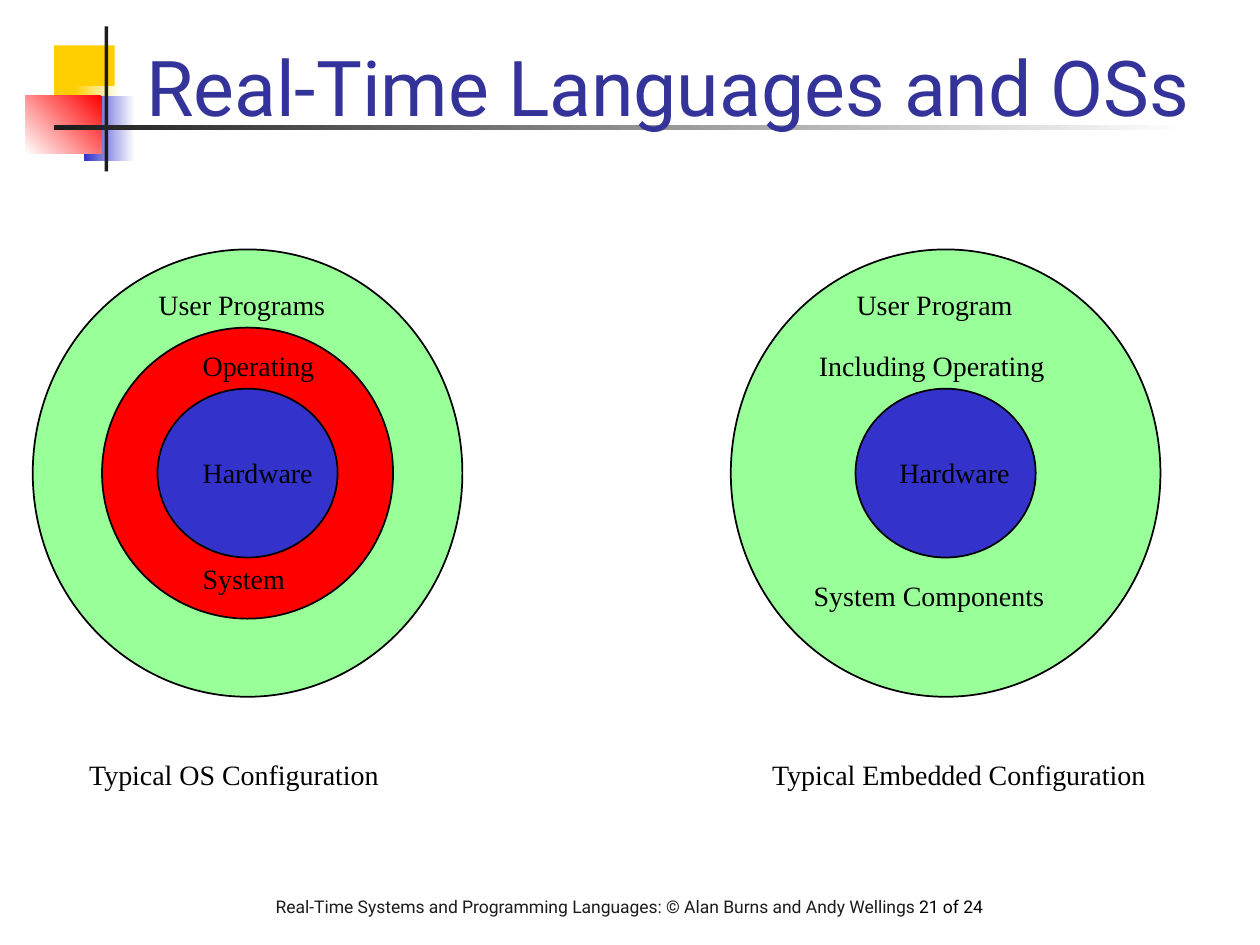
from dataclasses import dataclass

from pptx import Presentation
from pptx.dml.color import RGBColor
from pptx.enum.shapes import MSO_SHAPE
from pptx.enum.text import MSO_ANCHOR, MSO_AUTO_SIZE, PP_ALIGN
from pptx.util import Inches, Pt

RECT, OVAL = MSO_SHAPE.RECTANGLE, MSO_SHAPE.OVAL
LEFT, BOTTOM = PP_ALIGN.LEFT, MSO_ANCHOR.BOTTOM
FIXED, GROW = MSO_AUTO_SIZE.NONE, MSO_AUTO_SIZE.SHAPE_TO_FIT_TEXT

WHITE = RGBColor(0xFF, 0xFF, 0xFF)
BLACK = RGBColor(0x00, 0x00, 0x00)
DARK = RGBColor(0x1C, 0x1C, 0x1C)
NAVY = RGBColor(0x33, 0x33, 0x99)
BLUE = RGBColor(0x33, 0x33, 0xCC)
RED = RGBColor(0xFF, 0x00, 0x00)
GREEN = RGBColor(0x99, 0xFF, 0x99)
GOLD = RGBColor(0xFF, 0xCF, 0x01)

SANS, SERIF = "Roboto", "Times New Roman"
WIDE, HIGH = Inches(10), Inches(7.5)
COLS, ROWS = 100, 75
MID_ROW = 37.55
LABEL_ROWS = 3.7
SLACK = 0.4


@dataclass(frozen=True)
class Box:
    col: float
    row: float
    cols: float
    rows: float

    def frame(self) -> tuple[int, int, int, int]:
        return (
            round(self.col * WIDE / COLS),
            round(self.row * HIGH / ROWS),
            round(self.cols * WIDE / COLS),
            round(self.rows * HIGH / ROWS),
        )


@dataclass(frozen=True)
class Block:
    box: Box
    start: RGBColor
    end: RGBColor | None = None
    angle: float = 180


@dataclass(frozen=True)
class Ring:
    cols: float
    rows: float
    fill: RGBColor


@dataclass(frozen=True)
class Label:
    text: str
    col: float
    row: float
    cols: float


@dataclass(frozen=True)
class Model:
    mid: float
    rings: tuple[Ring, ...]
    labels: tuple[Label, ...]


BLOCKS = (
    Block(Box(4.3, 3.6, 4.8, 5.2), GOLD),
    Block(Box(5.9, 6.8, 3.6, 5.2), WHITE, GOLD),
    Block(Box(6.7, 7.6, 4, 5.2), WHITE, BLUE),
    Block(Box(2, 7.6, 6.1, 4.6), RED, WHITE, 225),
    Block(Box(8.3, 2.1, 0.3, 11.5), DARK),
    Block(Box(4.3, 9.9, 90, 0.4), WHITE, DARK),
)

USER = Ring(34.1, 35.5, GREEN)
SYSTEM = Ring(23.1, 23.1, RED)
CORE = Ring(14.3, 13.4, BLUE)

MODELS = (
    Model(19.65, (USER, SYSTEM, CORE), (
        Label("Hardware", 15.1, 35.7, 10.7),
        Label("Operating", 15.1, 27.2, 10.8),
        Label("System", 15.1, 44.1, 8.5),
        Label("User Programs", 11.6, 22.3, 15.2),
    )),
    Model(75.05, (USER, CORE), (
        Label("Hardware", 70.4, 35.7, 10.7),
        Label("Including Operating", 64, 27.2, 19.9),
        Label("System Components", 63.6, 45.4, 20.3),
        Label("User Program", 67, 22.3, 14.4),
    )),
)

NOTES = (
    Label("Typical OS Configuration", 6.1, 59.6, 25.1),
    Label("Typical Embedded Configuration", 60.3, 59.6, 31.8),
)


def style(run, face: str, size: float, color: RGBColor) -> None:
    run.font.name = face
    run.font.size = Pt(size)
    run.font.color.rgb = color


def draw_block(shapes, block: Block) -> None:
    shape = shapes.add_shape(RECT, *block.box.frame())
    shape.shadow.inherit = False
    shape.line.fill.background()
    if block.end is None:
        shape.fill.solid()
        shape.fill.fore_color.rgb = block.start
        return
    shape.fill.gradient()
    shape.fill.gradient_angle = block.angle
    for stop, color in zip(shape.fill.gradient_stops, (block.start, block.end)):
        stop.color.rgb = color


def draw_ring(shapes, ring: Ring, mid: float) -> None:
    box = Box(mid - ring.cols / 2, MID_ROW - ring.rows / 2, ring.cols, ring.rows)
    shape = shapes.add_shape(OVAL, *box.frame())
    shape.shadow.inherit = False
    shape.fill.solid()
    shape.fill.fore_color.rgb = ring.fill
    shape.line.color.rgb = BLACK
    shape.line.width = Pt(1)


def draw_label(shapes, label: Label) -> None:
    box = Box(label.col, label.row, label.cols + SLACK, LABEL_ROWS)
    text = shapes.add_textbox(*box.frame()).text_frame
    text.text = label.text
    text.word_wrap = False
    text.auto_size = GROW
    style(text.paragraphs[0].runs[0], SERIF, 16, BLACK)


def draw_model(shapes, model: Model) -> None:
    group = shapes.add_group_shape()
    for ring in model.rings:
        draw_ring(group.shapes, ring, model.mid)
    for label in model.labels:
        draw_label(group.shapes, label)


def draw_foot(shapes) -> None:
    text = shapes.add_textbox(*Box(20.9, 70.6, 60.6, 4.6).frame()).text_frame
    text.word_wrap = True
    text.auto_size = GROW
    line = text.paragraphs[0]
    for words, color in (
        ("Real-Time Systems and Programming Languages: © Alan Burns and Andy Wellings ", DARK),
        ("21 of 24", BLACK),
    ):
        run = line.add_run()
        run.text = words
        style(run, SANS, 10, color)


def draw_title(title) -> None:
    title.left, title.top, title.width, title.height = Box(10.6, 1.3, 85.2, 9.7).frame()
    text = title.text_frame
    text.text = "Real-Time Languages and OSs"
    text.vertical_anchor = BOTTOM
    text.auto_size = FIXED
    line = text.paragraphs[0]
    line.alignment = LEFT
    style(line.runs[0], SANS, 44, NAVY)
    title.element.getparent().append(title.element)


def main() -> None:
    deck = Presentation()
    deck.slide_width, deck.slide_height = WIDE, HIGH
    shapes = deck.slides.add_slide(deck.slide_layouts[5]).shapes
    for block in BLOCKS:
        draw_block(shapes, block)
    draw_foot(shapes)
    draw_title(shapes.title)
    for model, note in zip(MODELS, NOTES):
        draw_model(shapes, model)
        draw_label(shapes, note)
    deck.save("out.pptx")


if __name__ == "__main__":
    main()
